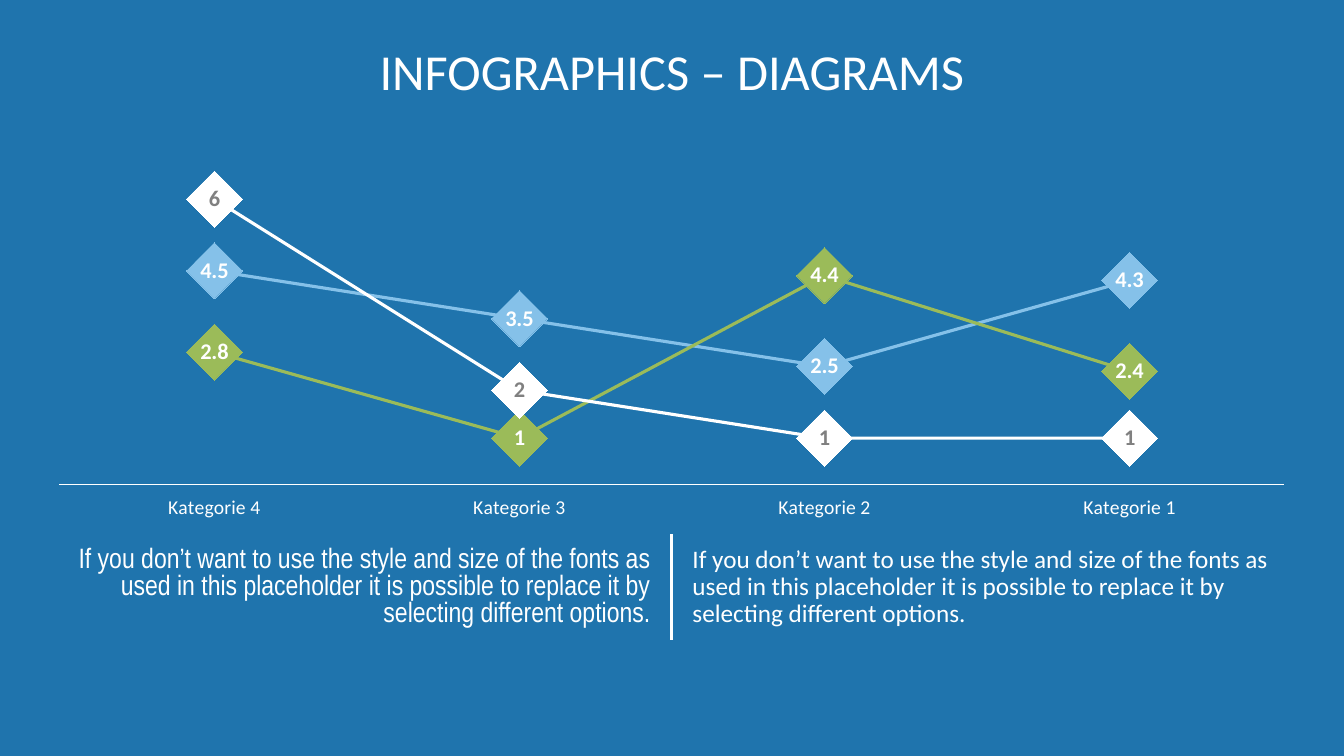
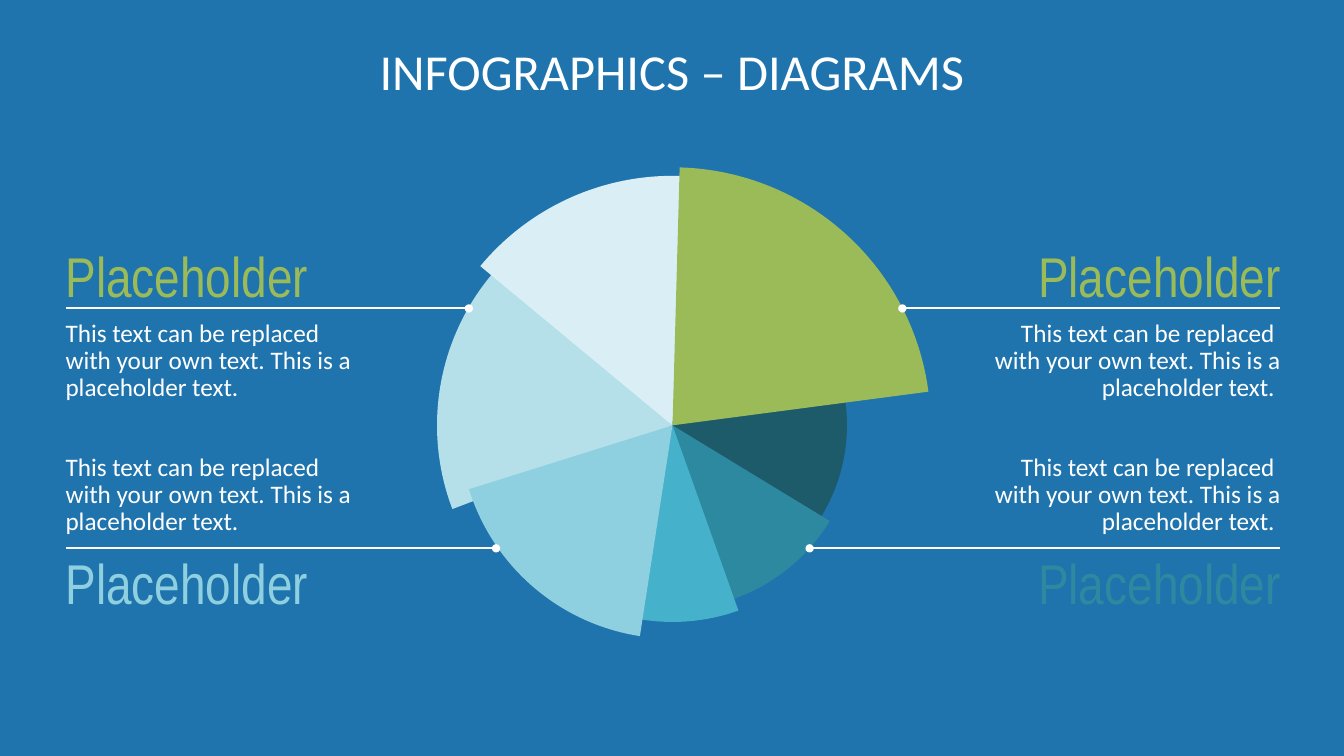
import pptx
import pptx.chart.data
import pptx.dml.color
import pptx.enum.chart
import pptx.enum.shapes
import pptx.enum.text
import pptx.oxml
import pptx.oxml.ns
import pptx.util
from lxml import etree

Inches = pptx.util.Inches
Pt = pptx.util.Pt
rgb = pptx.dml.color.RGBColor.from_string
Align = pptx.enum.text.PP_ALIGN
Anchor = pptx.enum.text.MSO_ANCHOR
qn = pptx.oxml.ns.qn

# Shared look
BLUE, WHITE, GREEN, GREY = "1F74AD", "FFFFFF", "9BBB59", "808080"
SKY, AQUA, TEAL = "85C1E9", "8FD0E0", "2D899F"
TITLE = {"size": Pt(36), "name": "Calibri"}
BODY = {"size": Pt(18), "name": "Calibri"}
NARROW = {"size": Pt(20), "name": "Arial Narrow"}
HEADING = {"size": Pt(40), "name": "Arial Narrow"}


def add_text(slide, box, text, font, color=WHITE, align=Align.LEFT, anchor=Anchor.TOP,
             margins=(0, 0, 0, 0), line_spacing=0.9, space_after=10):
    frame = slide.shapes.add_textbox(*map(Inches, box)).text_frame
    sides = ("margin_left", "margin_top", "margin_right", "margin_bottom")
    frame_format = dict(zip(sides, map(Inches, margins)), word_wrap=True, vertical_anchor=anchor)
    for name, value in frame_format.items():
        setattr(frame, name, value)
    paragraph = frame.paragraphs[0]
    paragraph.text = text
    paragraph_format = {"alignment": align, "line_spacing": line_spacing,
                        "space_after": Pt(space_after)}
    for name, value in paragraph_format.items():
        setattr(paragraph, name, value)
    for run in paragraph.runs:
        for name, value in font.items():
            setattr(run.font, name, value)
        run.font.color.rgb = rgb(color)


def add_line(slide, start, end, width, dot=False):
    connector = slide.shapes.add_connector(
        pptx.enum.shapes.MSO_CONNECTOR.STRAIGHT, *map(Inches, start + end))
    connector.line.color.rgb = rgb(WHITE)
    connector.line.width = Pt(width)
    if dot:
        etree.SubElement(connector.line._get_or_add_ln(), qn("a:headEnd"), type="oval")
    etree.SubElement(connector._element.spPr, qn("a:effectLst"))


presentation = pptx.Presentation()
presentation.slide_width = Inches(13.33)
presentation.slide_height = Inches(7.5)

# Both slides: background and title
slides = []
for number in range(2):
    slide = presentation.slides.add_slide(presentation.slide_layouts[6])
    slide.background.fill.solid()
    slide.background.fill.fore_color.rgb = rgb(BLUE)
    slides.append(slide)
chart_slide, pie_slide = slides

# Slide 1: line chart
series_rows = [
    ("Series 1", (4.3, 2.5, 3.5, 4.5), SKY, WHITE),
    ("Series 2", (2.4, 4.4, 1, 2.8), GREEN, WHITE),
    ("Series 3", (1, 1, 2, 6), WHITE, GREY),
]
chart_data = pptx.chart.data.CategoryChartData()
chart_data.categories = [f"Kategorie {number}" for number in range(1, 5)]
for name, values, color, label_color in series_rows:
    chart_data.add_series(name, values)
chart = chart_slide.shapes.add_chart(
    pptx.enum.chart.XL_CHART_TYPE.LINE_MARKERS,
    *map(Inches, (0.49, 0.79, 12.35, 5.93)), chart_data).chart
chart.has_legend = False
chart.has_title = False
chart.font.name = "Calibri"
chart.font.size = Pt(18)
chart.plots[0].vary_by_categories = False

category_axis = chart.category_axis
category_axis.reverse_order = True
category_axis.format.line.fill.background()
category_axis.tick_labels.font.size = Pt(14)
category_axis.tick_labels.font.color.rgb = rgb(WHITE)
value_axis_format = {"minimum_scale": 0, "maximum_scale": 7,
                     "has_major_gridlines": False, "visible": False}
for name, value in value_axis_format.items():
    setattr(chart.value_axis, name, value)

for series, (name, values, color, label_color) in zip(chart.plots[0].series, series_rows):
    series.smooth = False
    series.format.line.color.rgb = rgb(color)
    series.format.line.width = Pt(2.25)
    marker = series.marker
    marker.style = pptx.enum.chart.XL_MARKER_STYLE.DIAMOND
    marker.size = 40
    marker.format.fill.solid()
    marker.format.fill.fore_color.rgb = rgb(color)
    marker.format.line.fill.background()
    labels = series.data_labels
    labels.show_value = True
    labels.position = pptx.enum.chart.XL_LABEL_POSITION.CENTER
    for key, value in {"name": "Calibri", "size": Pt(16), "bold": True}.items():
        setattr(labels.font, key, value)
    labels.font.color.rgb = rgb(label_color)

# Fixed inner plot area
plot_area = chart._chartSpace.chart.plotArea
for old_layout in plot_area.findall(qn("c:layout")):
    plot_area.remove(old_layout)
layout = etree.Element(qn("c:layout"))
manual_layout = etree.SubElement(layout, qn("c:manualLayout"))
layout_values = {"layoutTarget": "inner", "xMode": "edge", "yMode": "edge",
                 "x": "0.01", "y": "0.12", "w": "0.98", "h": "0.56"}
for name, value in layout_values.items():
    etree.SubElement(manual_layout, qn(f"c:{name}"), val=value)
plot_area.insert(0, layout)

# Slide 1: title, rules and the two texts below the chart
for slide in slides:
    add_text(slide, (0.59, 0.47, 12.15, 1.18), "INFOGRAPHICS – DIAGRAMS", TITLE,
             align=Align.CENTER, space_after=0)
add_line(chart_slide, (0.59, 4.81), (12.74, 4.81), 0.5)
add_line(chart_slide, (6.66, 5.3), (6.66, 6.35), 1.5)
note = ("If you don’t want to use the style and size of the fonts as used in this "
        "placeholder it is possible to replace it by selecting different options.")
for left, font, align, spacing in ((0.59, NARROW, Align.RIGHT, 0.8),
                                   (6.77, BODY, Align.LEFT, 0.9)):
    add_text(chart_slide, (left, 5.3, 5.96, 1.05), note, font, align=align,
             anchor=Anchor.MIDDLE, margins=(0.1, 0.05, 0.1, 0.05), line_spacing=spacing)

# Slide 2: pie slices around one centre (diameter, rotation, start value, colour)
center_x, center_y = 6.67, 4.22
slices = [
    (4.67, 313, 123.71, "B5E0EA"),
    (3.46, 123, 134.08, "1E5B6A"),
    (3.65, 162.9, 137.05, TEAL),
    (3.9, 191, 143.65, "45B1CB"),
    (4.23, 252.6, 123.71, AQUA),
    (4.95, 3.6, 129.63, "DAEFF5"),
    (5.12, 82.5, 113.45, GREEN),
]
for diameter, rotation, start, color in slices:
    shape = pie_slide.shapes.add_shape(
        pptx.enum.shapes.MSO_SHAPE.PIE, Inches(center_x - diameter / 2),
        Inches(center_y - diameter / 2), Inches(diameter), Inches(diameter))
    shape.adjustments[0] = start
    shape.adjustments[1] = 162
    shape.rotation = rotation
    shape.shadow.inherit = False
    shape.fill.solid()
    shape.fill.fore_color.rgb = rgb(color)
    shape.line.fill.background()

# Slide 2: callouts (dot x, on the right, in the upper row, heading colour)
text_width = 3.09
callouts = [
    (8.95, True, True, GREEN),
    (8.03, True, False, TEAL),
    (4.65, False, True, GREEN),
    (4.92, False, False, AQUA),
]
for dot_x, on_right, upper, color in callouts:
    edge = 12.7 if on_right else 0.65
    left = edge - text_width if on_right else edge
    align = Align.RIGHT if on_right else Align.LEFT
    body = "This text can be replaced \vwith your own text. This is a placeholder text."
    if on_right:
        body += " "
    if upper:
        rule_y = 3.06
        heading_box, heading_margins = (left, 2.14, text_width, 0.93), (0, 0, 0, 0)
        body_box, body_margins = (left, rule_y, text_width, 1.16), (0, 0.12, 0, 0)
        heading_anchor, body_anchor = Anchor.BOTTOM, Anchor.TOP
    else:
        rule_y = 5.44
        heading_box, heading_margins = (left, rule_y, text_width, 0.93), (0, 0.08, 0, 0)
        body_box, body_margins = (left, 4.47, text_width, 0.97), (0, 0, 0, 0.12)
        heading_anchor, body_anchor = Anchor.TOP, Anchor.BOTTOM
    add_line(pie_slide, (dot_x, rule_y), (edge, rule_y), 1.5, dot=True)
    add_text(pie_slide, heading_box, "Placeholder", HEADING, color, align,
             heading_anchor, heading_margins)
    add_text(pie_slide, body_box, body, BODY, WHITE, align, body_anchor, body_margins)

presentation.save("out.pptx")
